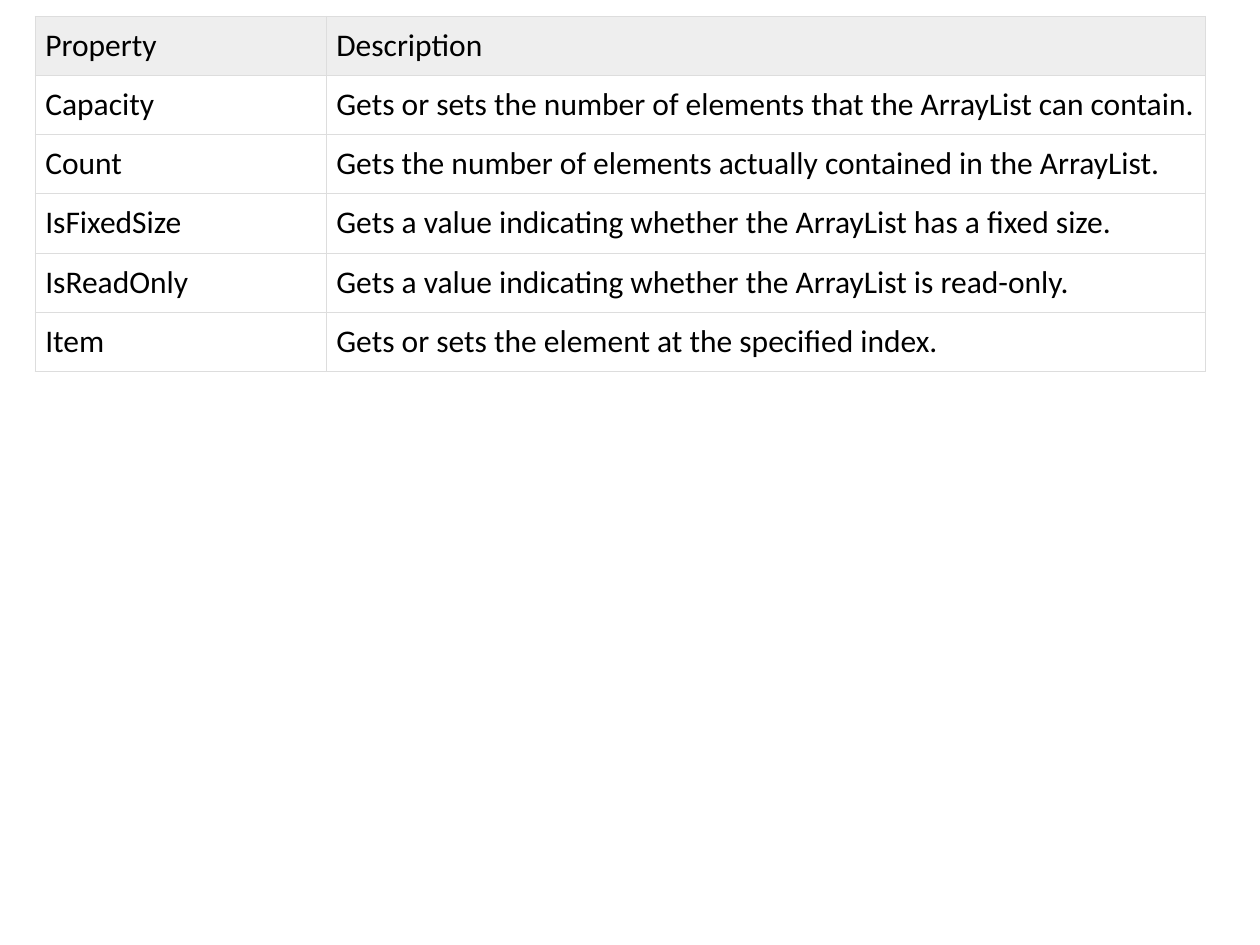
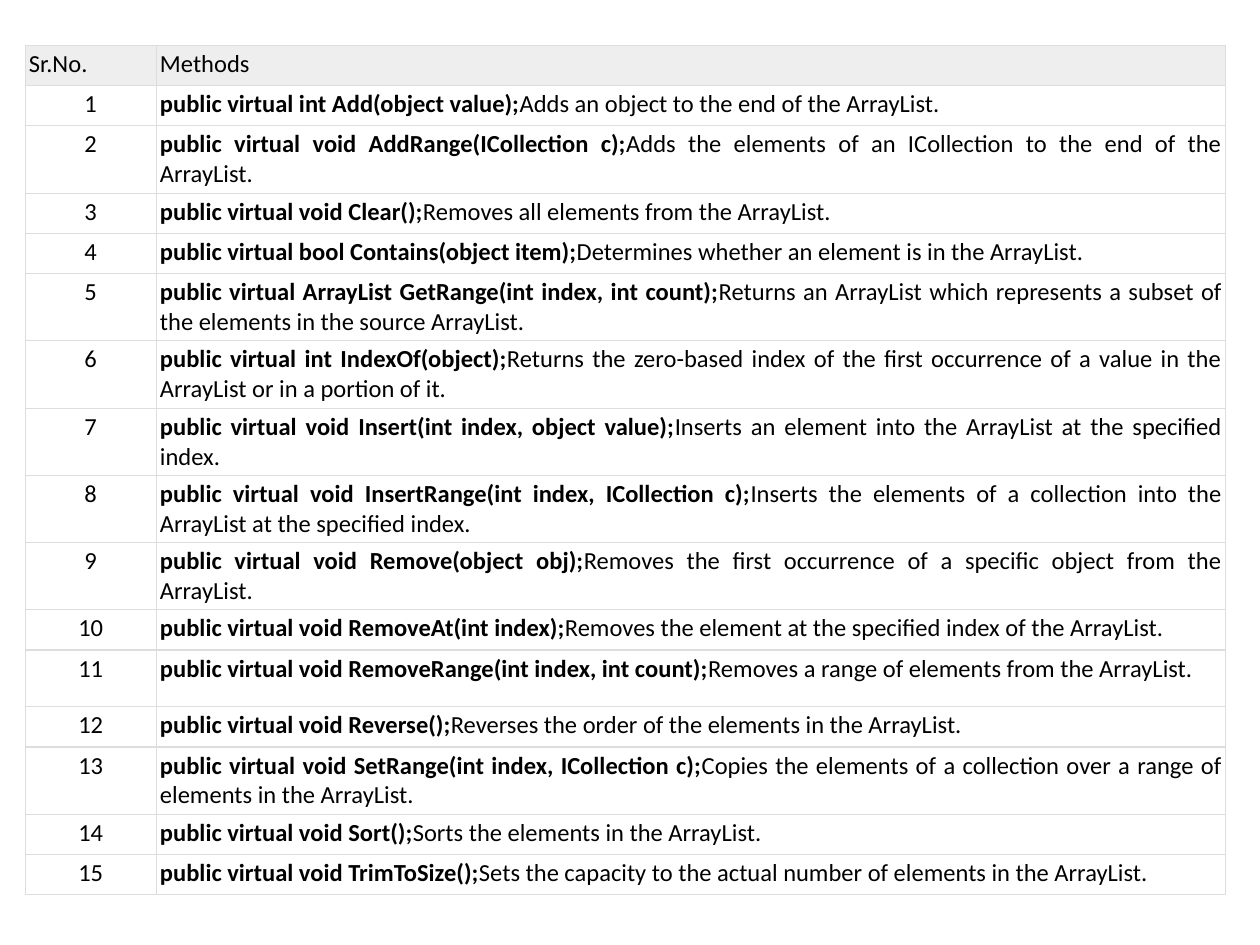
import pptx
import pptx.util
import pptx.dml.color
import pptx.enum.text
import pptx.oxml

COLORS = {"text": "000000", "header": "EEEEEE", "border": "DDDDDD"}
FONT = "Calibri"
ALIGN = pptx.enum.text.PP_ALIGN

prs = pptx.Presentation()
prs.slide_width = pptx.util.Inches(10)
prs.slide_height = pptx.util.Inches(7.5)
U = prs.slide_width / 100  # square grid: 100 columns by 75 rows


def add_text(p, text, size=18, bold=False, color="text"):
    r = p.add_run()
    r.text = text
    r.font.name = FONT
    r.font.size = pptx.util.Pt(size)
    r.font.bold = bold
    r.font.color.rgb = pptx.dml.color.RGBColor.from_string(COLORS[color])


# Contents
properties = [
    ("Property", "Description"),
    ("Capacity", "Gets or sets the number of elements that the ArrayList can contain."),
    ("Count", "Gets the number of elements actually contained in the ArrayList."),
    ("IsFixedSize", "Gets a value indicating whether the ArrayList has a fixed size."),
    ("IsReadOnly", "Gets a value indicating whether the ArrayList is read-only."),
    ("Item", "Gets or sets the element at the specified index."),
]

methods = [
    ("int Add(object value);", "Adds an object to the end of the ArrayList."),
    ("void AddRange(ICollection c);",
     "Adds the elements of an ICollection to the end of the ArrayList."),
    ("void Clear();", "Removes all elements from the ArrayList."),
    ("bool Contains(object item);", "Determines whether an element is in the ArrayList."),
    ("ArrayList GetRange(int index, int count);",
     "Returns an ArrayList which represents a subset of the elements in the source ArrayList."),
    ("int IndexOf(object);",
     "Returns the zero-based index of the first occurrence of a value in the ArrayList "
     "or in a portion of it."),
    ("void Insert(int index, object value);",
     "Inserts an element into the ArrayList at the specified index."),
    ("void InsertRange(int index, ICollection c);",
     "Inserts the elements of a collection into the ArrayList at the specified index."),
    ("void Remove(object obj);",
     "Removes the first occurrence of a specific object from the ArrayList."),
    ("void RemoveAt(int index);",
     "Removes the element at the specified index of the ArrayList."),
    ("void RemoveRange(int index, int count);", "Removes a range of elements from the ArrayList."),
    ("void Reverse();", "Reverses the order of the elements in the ArrayList."),
    ("void SetRange(int index, ICollection c);",
     "Copies the elements of a collection over a range of elements in the ArrayList."),
    ("void Sort();", "Sorts the elements in the ArrayList."),
    ("void TrimToSize();",
     "Sets the capacity to the actual number of elements in the ArrayList."),
]
method_rows = [("Sr.No.", "Methods")] + [
    (str(n), ("public virtual " + signature, description))
    for n, (signature, description) in enumerate(methods, 1)
]

# Row heights of the method table, in grid units
ONE_LINE, LOOSE_LINE, TWO_LINES = 3.2, 4.5, 5.3
method_heights = [ONE_LINE] * len(method_rows)
method_heights[11] = LOOSE_LINE
for n in (2, 5, 6, 7, 8, 9, 13):
    method_heights[n] = TWO_LINES

# One table per slide, lengths in grid units
tables = [
    dict(rows=properties, left=2.8, top=1.3, cols=(23.1, 69.8), heights=[4.7] * len(properties),
         inset=0.8, size=18, aligns=(ALIGN.LEFT, ALIGN.LEFT)),
    dict(rows=method_rows, left=2, top=3.6, cols=(10.4, 84.9), heights=method_heights,
         inset=0.3, size=14, aligns=(ALIGN.CENTER, ALIGN.JUSTIFY)),
]

for t in tables:
    s = prs.slides.add_slide(prs.slide_layouts[6])
    box = (t["left"], t["top"], sum(t["cols"]), sum(t["heights"]))
    tbl = s.shapes.add_table(len(t["rows"]), 2, *[round(v * U) for v in box]).table
    tbl.first_row = tbl.horz_banding = False
    for col, width in zip(tbl.columns, t["cols"]):
        col.width = round(width * U)

    for i, (row, values) in enumerate(zip(tbl.rows, t["rows"])):
        row.height = round(t["heights"][i] * U)
        for cell, value, align in zip(row.cells, values, t["aligns"]):
            inset = round(t["inset"] * U)
            cell.margin_left = cell.margin_right = inset
            cell.margin_top = cell.margin_bottom = inset

            # Fill
            if i == 0:
                cell.fill.solid()
                cell.fill.fore_color.rgb = pptx.dml.color.RGBColor.from_string(COLORS["header"])
            else:
                cell.fill.background()

            # Borders come before the fill in the cell properties
            tcPr = cell._tc.get_or_add_tcPr()
            for k, side in enumerate("LRTB"):
                tcPr.insert(k, pptx.oxml.parse_xml(
                    f'<a:ln{side} xmlns:a="http://schemas.openxmlformats.org/drawingml/2006/main"'
                    f' w="{pptx.util.Pt(0.75)}"><a:solidFill><a:srgbClr val="{COLORS["border"]}"/>'
                    f'</a:solidFill></a:ln{side}>'))

            # Text, with the signature of a method in bold
            p = cell.text_frame.paragraphs[0]
            p.alignment = ALIGN.LEFT if i == 0 else align
            if isinstance(value, tuple):
                signature, value = value
                add_text(p, signature, size=t["size"], bold=True)
            add_text(p, value, size=t["size"])

prs.save("out.pptx")
